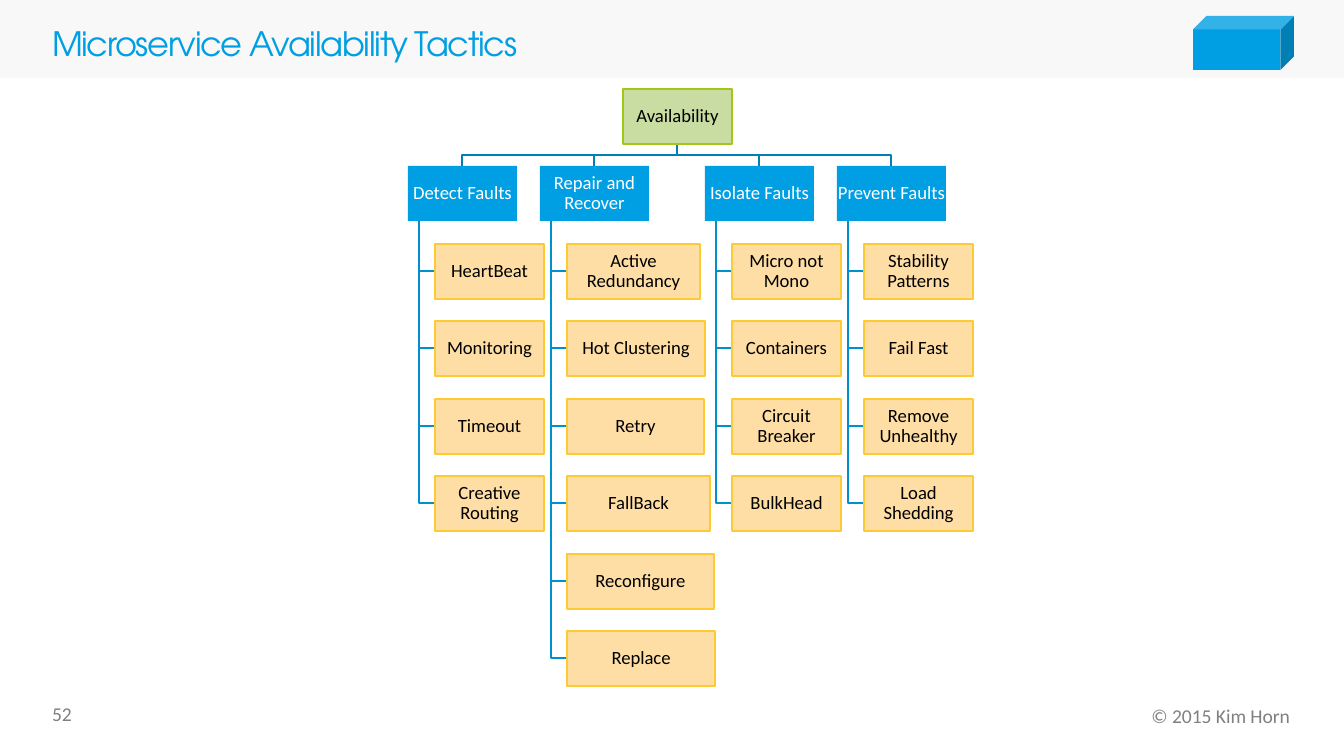
from lxml import etree
from pptx import Presentation
from pptx import util as u
from pptx.dml.color import RGBColor
from pptx.enum import shapes, text
from pptx.oxml.ns import qn

WIDTH, HEIGHT = 1344, 756
SCALE = u.Inches(10) / WIDTH
BOX_WIDTH, BOX_HEIGHT = 109, 55
TRUNK_INDENT, LEAF_INDENT = 11, 27
ROOT_LEFT, BAR_TOP = 623, 155
LINK, BRANCH = "007FB6", "0090CE"
LEFT, CENTER, RIGHT = text.PP_ALIGN.LEFT, text.PP_ALIGN.CENTER, text.PP_ALIGN.RIGHT
TOP, MIDDLE = text.MSO_ANCHOR.TOP, text.MSO_ANCHOR.MIDDLE

GROUPS = [
    (408, "Detect Faults", [
        ("HeartBeat", 109), ("Monitoring", 109), ("Timeout", 109), ("Creative Routing", 109)]),
    (540, "Repair and Recover", [
        ("Active Redundancy", 133), ("Hot Clustering", 138), ("Retry", 137),
        ("FallBack", 143), ("Reconfigure", 147), ("Replace", 148)]),
    (705, "Isolate Faults", [
        ("Micro not Mono", 109), ("Containers", 109), ("Circuit Breaker", 109), ("BulkHead", 109)]),
    (837, "Prevent Faults", [
        ("Stability Patterns", 109), ("Fail Fast", 109), ("Remove Unhealthy", 109),
        ("Load Shedding", 109)]),
]


def px(value):
    return u.Emu(round(value * SCALE))


def color(value):
    return RGBColor.from_string(value)


def assign(target, values):
    for name, value in values.items():
        setattr(target, name, value)


def row_top(row):
    return 89 + 155 * row // 2


class Slide:
    font = "Calibri"

    def __init__(self, page):
        self.page = page

    def add_words(self, box, words, size, ink, align=CENTER, anchor=MIDDLE, font=None):
        frame = box.text_frame
        assign(frame, {"word_wrap": True, "vertical_anchor": anchor, "margin_left": 0,
                       "margin_right": 0, "margin_top": 0, "margin_bottom": 0})
        para = frame.paragraphs[0]
        para.alignment = align
        span = para.add_run()
        span.text = words
        assign(span.font, {"name": font or self.font, "size": u.Pt(size)})
        span.font.color.rgb = color(ink)
        return para, span

    def label(self, place, words, size, ink, **style):
        box = self.page.shapes.add_textbox(*map(px, place))
        return self.add_words(box, words, size, ink, **style)

    def title(self, place, words):
        para, span = self.label(place, words, 18, "009FE3", align=LEFT, font="TeX Gyre Adventor")
        para.line_spacing = 0.9
        span.font._element.set("spc", "-70")

    def shape(self, place, fill, line=None, alpha=None, kind=shapes.MSO_SHAPE.RECTANGLE):
        box = self.page.shapes.add_shape(kind, *map(px, place))
        box.shadow.inherit = False
        box.fill.solid()
        box.fill.fore_color.rgb = color(fill)
        if alpha:
            tint = box._element.spPr.find(".//" + qn("a:srgbClr"))
            etree.SubElement(tint, qn("a:alpha")).set("val", str(alpha * 1000))
        if line:
            box.line.color.rgb = color(line)
            box.line.width = u.Pt(0.75)
        else:
            box.line.fill.background()
        return box

    def node(self, left, row, words, fill, line=None, ink="000000", width=BOX_WIDTH):
        box = self.shape((left, row_top(row), width, BOX_HEIGHT), fill, line)
        para, _ = self.add_words(box, words, 10, ink)
        para.line_spacing = 0.9

    def route(self, points, ink):
        builder = self.page.shapes.build_freeform(*points[0], scale=SCALE)
        builder.add_line_segments(points[1:], close=False)
        line = builder.convert_to_shape()
        line.shadow.inherit = False
        line.fill.background()
        line.line.color.rgb = color(ink)
        line.line.width = u.Pt(0.75)


def main():
    deck = Presentation()
    assign(deck, {"slide_width": px(WIDTH), "slide_height": px(HEIGHT)})
    slide = Slide(deck.slides.add_slide(deck.slide_layouts[6]))

    slide.shape((0, 0, WIDTH, 78), "F2F2F2", alpha=50)
    slide.shape((1193, 16, 101, 54), "009FE3", kind=shapes.MSO_SHAPE.CUBE)
    slide.label((52, 702, 43, 24), "52", 10.5, "808080", align=LEFT, anchor=TOP)
    slide.label((757, 704, 533, 24), "© 2015 Kim Horn", 10.5, "808080", align=RIGHT)
    slide.title((52, 28, 1082, 36), "Microservice Availability Tactics")

    root_x = ROOT_LEFT + BOX_WIDTH // 2
    for left, _, leaves in GROUPS:
        head_x = left + BOX_WIDTH // 2
        slide.route([(root_x, row_top(0) + BOX_HEIGHT), (root_x, BAR_TOP),
                     (head_x, BAR_TOP), (head_x, row_top(1))], LINK)
        trunk = left + TRUNK_INDENT
        for row in range(2, len(leaves) + 2):
            middle = row_top(row) + BOX_HEIGHT // 2
            slide.route([(trunk, row_top(1) + BOX_HEIGHT), (trunk, middle),
                         (left + LEAF_INDENT, middle)], BRANCH)

    slide.node(ROOT_LEFT, 0, "Availability", "C9DCA2", "A2C617")
    for left, head, leaves in GROUPS:
        slide.node(left, 1, head, "009FE3", ink="FFFFFF")
        for row, (words, width) in enumerate(leaves, 2):
            slide.node(left + LEAF_INDENT, row, words, "FEDEA5", "FECA33", width=width)

    deck.save("out.pptx")


if __name__ == "__main__":
    main()
